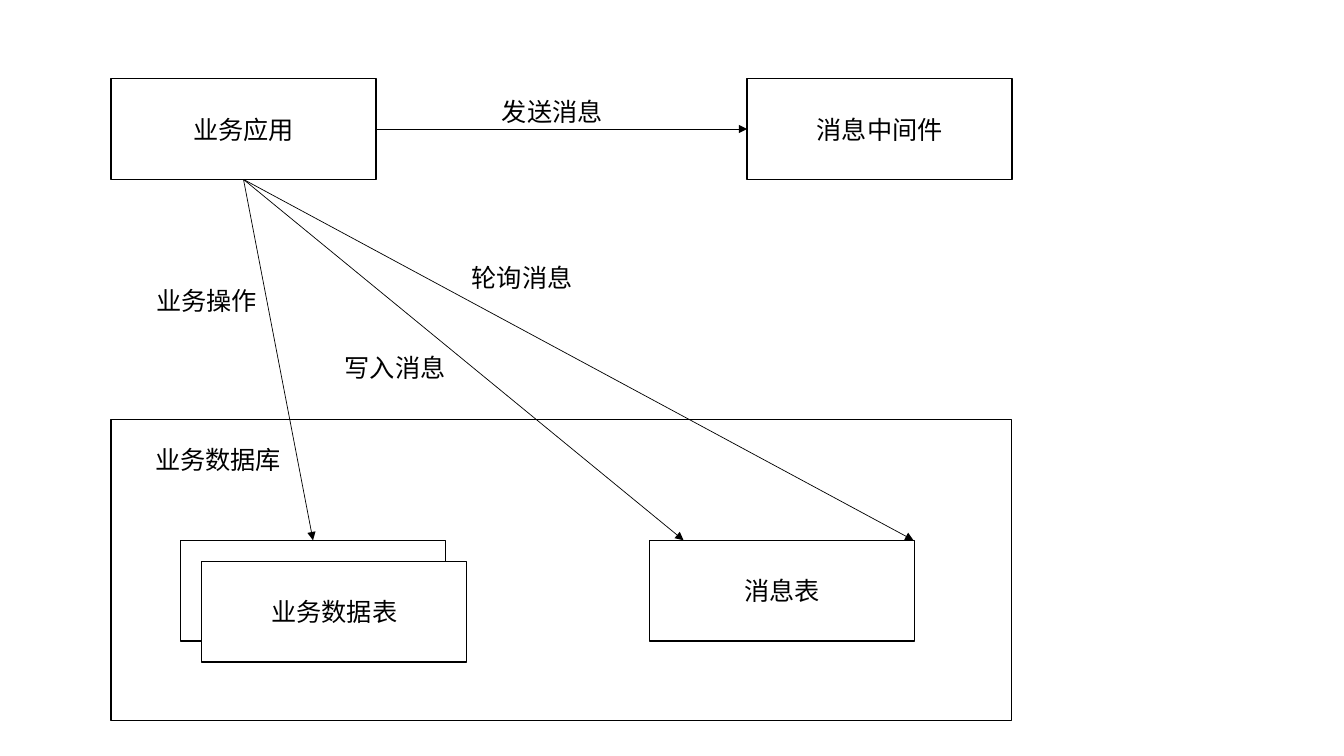
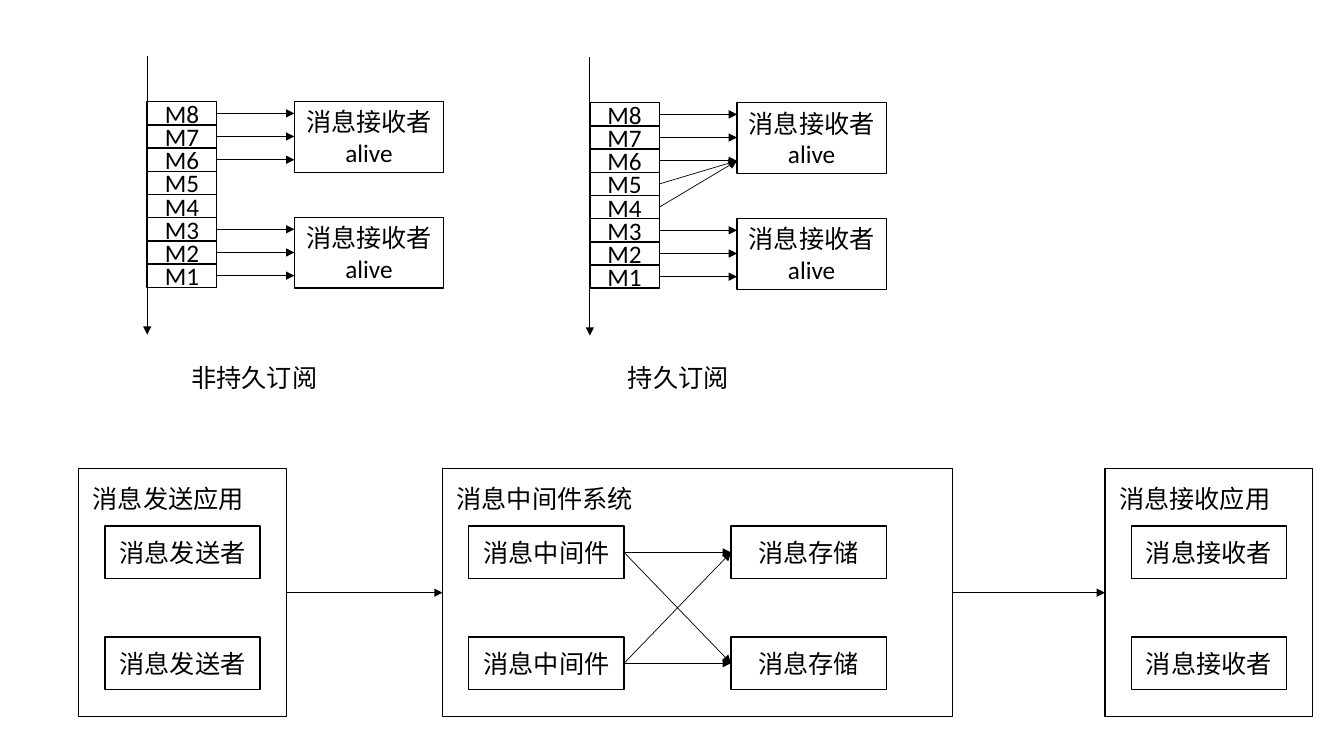
from itertools import product
from lxml.etree import SubElement
from pptx import Presentation
from pptx.dml.color import RGBColor
from pptx.enum.shapes import MSO_CONNECTOR, MSO_SHAPE
from pptx.enum.text import MSO_ANCHOR, MSO_AUTO_SIZE, PP_ALIGN
from pptx.oxml.ns import qn
from pptx.util import Inches, Pt

COLORS = {"paper": "FFFFFF", "ink": "000000"}
CELL = 0.1  # the grid is made of square cells, in inches
TOP, LEFT, BOTTOM, RIGHT = range(4)  # connection sites of a rectangle


def grid(*cells):
    return [Inches(n * CELL) for n in cells]


def color(name):
    return RGBColor.from_string(COLORS[name])


class Diagram:
    font, size = "Calibri", Pt(18)
    border, thin = Pt(1), Pt(0.5)

    def __init__(self, prs):
        self.prs = prs

    def new_slide(self):
        self.slide = self.prs.slides.add_slide(self.prs.slide_layouts[6])

    def set_text(self, tf, text, align):
        tf.text = text
        for p in tf.paragraphs:
            p.alignment = align
            p.font.name, p.font.size = self.font, self.size
            p.font.color.rgb = color("ink")

    def box(self, x, y, w, h, text=""):
        sp = self.slide.shapes.add_shape(MSO_SHAPE.RECTANGLE, *grid(x, y, w, h))
        sp.shadow.inherit = False
        sp.fill.solid()
        sp.fill.fore_color.rgb = color("paper")
        sp.line.color.rgb = color("ink")
        sp.line.width = self.border
        if text:
            sp.text_frame.vertical_anchor = MSO_ANCHOR.MIDDLE
            self.set_text(sp.text_frame, text, PP_ALIGN.CENTER)
        return sp

    def label(self, x, y, w, text, wrap=False):
        tf = self.slide.shapes.add_textbox(*grid(x, y, w, 4)).text_frame
        tf.word_wrap = wrap
        tf.auto_size = MSO_AUTO_SIZE.SHAPE_TO_FIT_TEXT
        self.set_text(tf, text, PP_ALIGN.LEFT)

    def arrow(self, start, end):
        """Each end is a grid point (x, y) or a glued (shape, site)."""
        glued = [not isinstance(e[0], (int, float)) for e in (start, end)]
        points = [(0, 0) if g else e for g, e in zip(glued, (start, end))]
        line = self.slide.shapes.add_connector(
            MSO_CONNECTOR.STRAIGHT, *grid(*points[0], *points[1]))
        if glued[0]:
            line.begin_connect(*start)
        if glued[1]:
            line.end_connect(*end)
        line.line.color.rgb = color("ink")
        line.line.width = self.thin
        props = line.element.spPr
        SubElement(props.find(qn("a:ln")), qn("a:tailEnd"), type="triangle")
        SubElement(props, qn("a:effectLst"))


def message_table_slide(d):
    d.new_slide()
    w, h = 26.3, 10

    # Boxes
    app = d.box(11, 7.8, w, h, "业务应用")
    middleware = d.box(74.1, 7.8, w, h, "消息中间件")
    d.box(11, 41.6, 89.3, 29.9)
    data_table = d.box(17.9, 53.6, w, h)
    d.box(20, 55.7, w, h, "业务数据表")
    d.box(64.4, 53.6, w, h, "消息表")

    # Arrows
    for end in ((data_table, TOP), (67.8, 53.6), (90.6, 53.6)):
        d.arrow((app, BOTTOM), end)
    d.arrow((app, RIGHT), (middleware, LEFT))

    # Labels
    for x, y, text in ((14.4, 43.6, "业务数据库"), (14.5, 27.8, "业务操作"),
                       (33.2, 34.5, "写入消息"), (48.8, 9.1, "发送消息"),
                       (45.8, 25.5, "轮询消息")):
        d.label(x, y, 16.7, text, wrap=True)


def subscription(d, x, top, targets):
    """Message queue on a time axis; targets maps a message to its arrow's row."""
    step, receiver_x = 2.3, x + 14.6
    d.arrow((x, top - 4.5), (x, top + 23.1))
    queue = [d.box(x, top + i * step, 6.9, step, f"M{8 - i}") for i in range(8)]
    for y in (top, top + 5 * step):
        d.box(receiver_x, y, 14.8, 7, "消息接收者\nalive")
    for i, row in targets.items():
        d.arrow((queue[i], RIGHT), (receiver_x, top + (row + 0.5) * step))


def panel(d, x, w, title, columns):
    """Frame with a title and columns of two boxes each."""
    frame = d.box(x, 46.5, w, 24.6)
    d.label(x + 0.4, 47.5, 2.5 * len(title) + 2.2, title)
    pairs = [[d.box(x + 2.6 + i * 26, y, 15.4, 5.2, text) for y in (52.2, 63.2)]
             for i, text in enumerate(columns)]
    return frame, pairs


def subscription_slide(d):
    d.new_slide()

    # Subscriptions
    alive = {i: i for i in (0, 1, 2, 5, 6, 7)}
    subscription(d, 14.6, 10.1, alive)
    subscription(d, 58.5, 10.2, {**alive, 3: 2, 4: 2})
    d.label(18, 35.5, 14.6, "非持久订阅")
    d.label(61.3, 35.5, 12.1, "持久订阅")

    # Systems
    sender, _ = panel(d, 7.8, 20.6, "消息发送应用", ["消息发送者"])
    system, (brokers, stores) = panel(
        d, 43.9, 50.6, "消息中间件系统", ["消息中间件", "消息存储"])
    receiver, _ = panel(d, 109.6, 20.6, "消息接收应用", ["消息接收者"])

    # Message flow
    flows = [(sender, system), (system, receiver), *product(brokers, stores)]
    for source, target in flows:
        d.arrow((source, RIGHT), (target, LEFT))


prs = Presentation()
prs.slide_width, prs.slide_height = Inches(13.33), Inches(7.5)
diagram = Diagram(prs)
message_table_slide(diagram)
subscription_slide(diagram)
prs.save("out.pptx")
